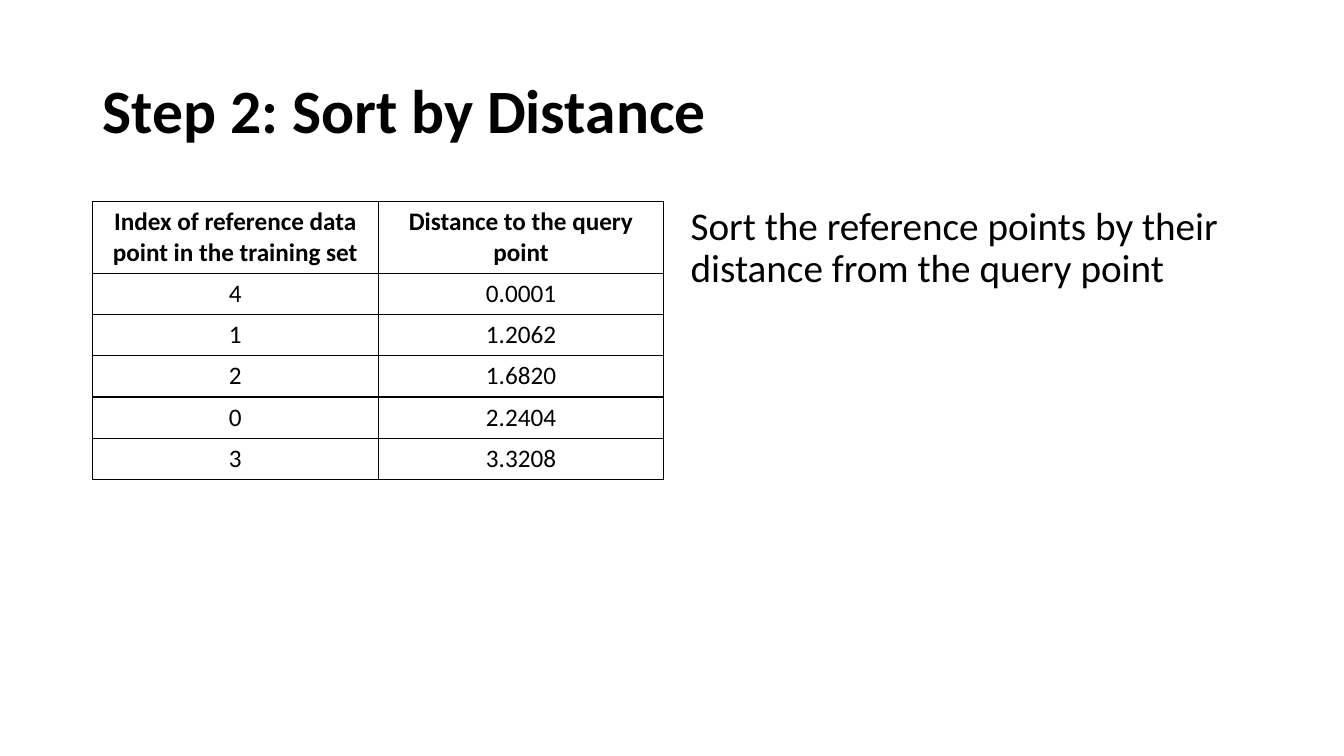
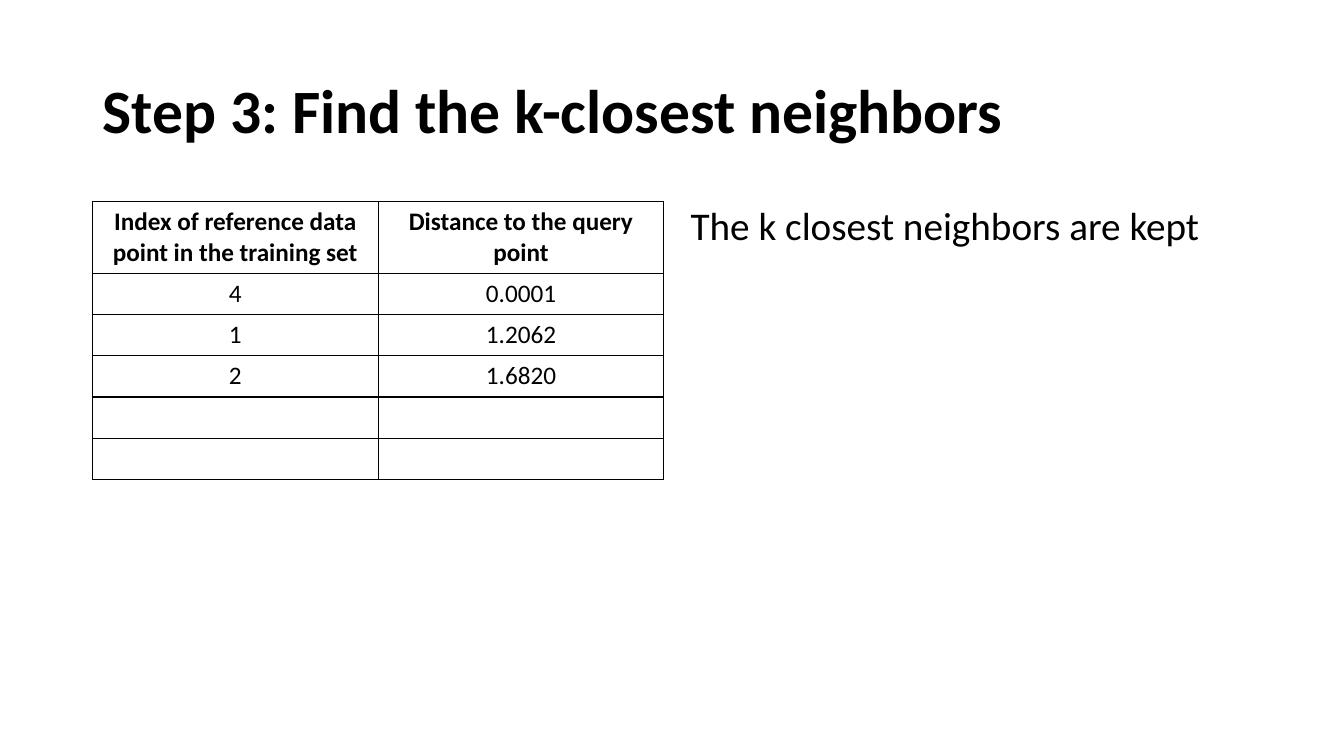
"""Build two slides on sorting reference points and keeping the nearest neighbors."""
import lxml.etree
import pptx
import pptx.dml.color
import pptx.enum.text
import pptx.oxml.ns
import pptx.util

Cm = pptx.util.Cm
Pt = pptx.util.Pt
FONT = "Calibri"
BLACK = "000000"
LEFT, TOP, WIDTH = 2.33, 5.08, 14.4
HEADER_H, ROW_H = 1.79, 1.04
HEADER = ("Index of reference data point in the training set",
          "Distance to the query point")
NEIGHBORS = [("4", "0.0001"), ("1", "1.2062"), ("2", "1.6820"),
             ("0", "2.2404"), ("3", "3.3208")]
SLIDES = [
    ("Step 2: Sort by Distance", 5,
     "Sort the reference points by their distance from the query point"),
    ("Step 3: Find the k-closest neighbors", 3,
     "The k closest neighbors are kept"),
]


def color(hex_str):
    return pptx.dml.color.RGBColor.from_string(hex_str)


def add_run(p, text, size, bold=False):
    r = p.add_run()
    r.text = text
    r.font.name = FONT
    r.font.size = Pt(size)
    r.font.bold = bold
    r.font.color.rgb = color(BLACK)


prs = pptx.Presentation()
prs.slide_width = Cm(33.87)
prs.slide_height = Cm(19.05)
qn = pptx.oxml.ns.qn
align = pptx.enum.text.PP_ALIGN
anchor = pptx.enum.text.MSO_ANCHOR

for title, kept, note in SLIDES:
    s = prs.slides.add_slide(prs.slide_layouts[1])
    body = s.placeholders[1]

    boxes = [
        (s.shapes.title, (LEFT, 1.01, 29.21, 3.68), anchor.MIDDLE, title, 44, True),
        (body, (17.15, TOP, WIDTH, 12.09), anchor.TOP, note, 28, False),
    ]
    for sp, box, where, text, size, bold in boxes:
        sp.left, sp.top, sp.width, sp.height = map(Cm, box)
        tf = sp.text_frame
        tf.word_wrap = True
        tf.auto_size = pptx.enum.text.MSO_AUTO_SIZE.NONE
        tf.vertical_anchor = where
        p = tf.paragraphs[0]
        p.alignment = align.LEFT
        p.line_spacing = 0.9
        p.space_before = Pt(0)
        add_run(p, text, size, bold)

    pPr = body.text_frame.paragraphs[0]._p.get_or_add_pPr()
    pPr.set("marL", "0")
    pPr.set("indent", "0")
    lxml.etree.SubElement(pPr, qn("a:buNone"))

    rows = [HEADER] + NEIGHBORS[:kept] + [("", "")] * (len(NEIGHBORS) - kept)
    height = HEADER_H + ROW_H * len(NEIGHBORS)
    table = s.shapes.add_table(len(rows), len(HEADER), Cm(LEFT), Cm(TOP),
                               Cm(WIDTH), Cm(height)).table
    table.horz_banding = False
    for col in table.columns:
        col.width = Cm(WIDTH / len(HEADER))
    for i, values in enumerate(rows):
        table.rows[i].height = Cm(ROW_H if i else HEADER_H)
        for j, value in enumerate(values):
            cell = table.cell(i, j)
            tcPr = cell._tc.get_or_add_tcPr()
            for side in ("lnL", "lnR", "lnT", "lnB"):
                ln = lxml.etree.SubElement(tcPr, qn("a:" + side), w=str(Pt(1)))
                fill = lxml.etree.SubElement(ln, qn("a:solidFill"))
                lxml.etree.SubElement(fill, qn("a:srgbClr"), val=BLACK)
            cell.fill.background()
            p = cell.text_frame.paragraphs[0]
            p.alignment = align.CENTER
            if value:
                add_run(p, value, 18, i == 0)

prs.save("out.pptx")
